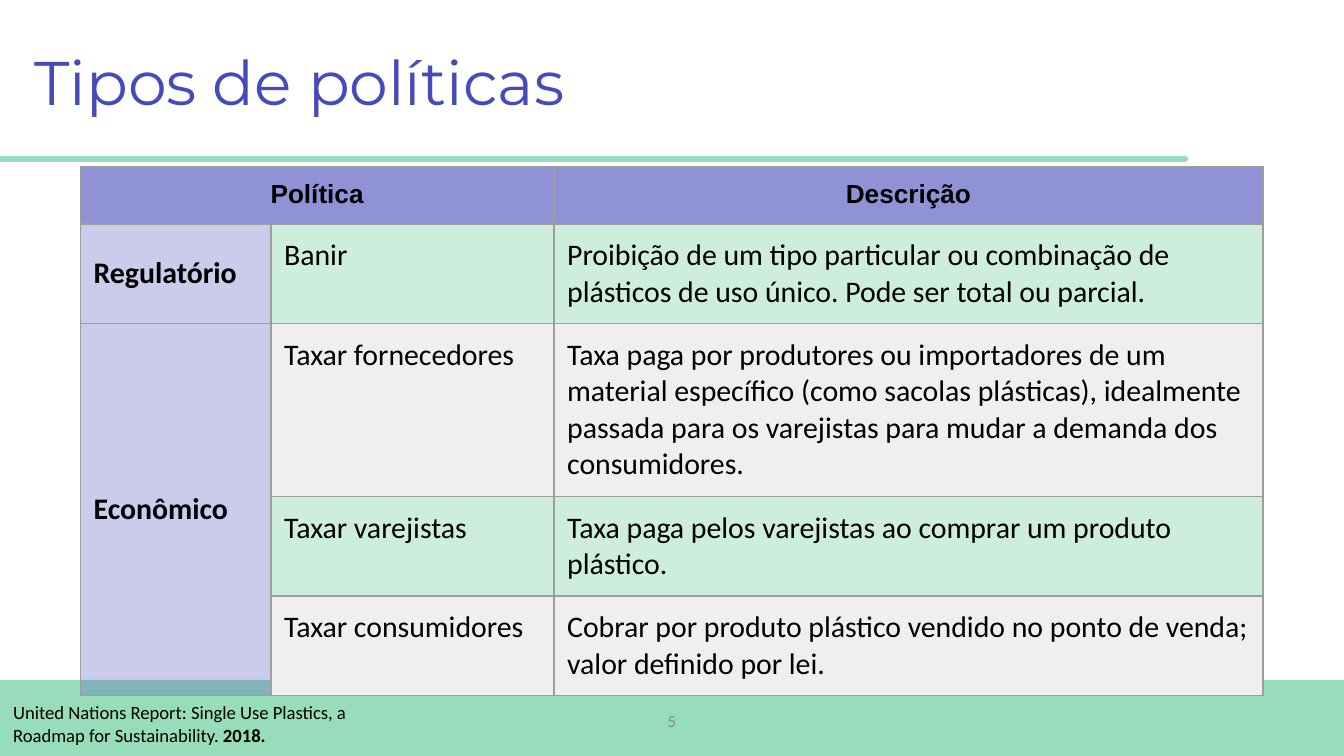
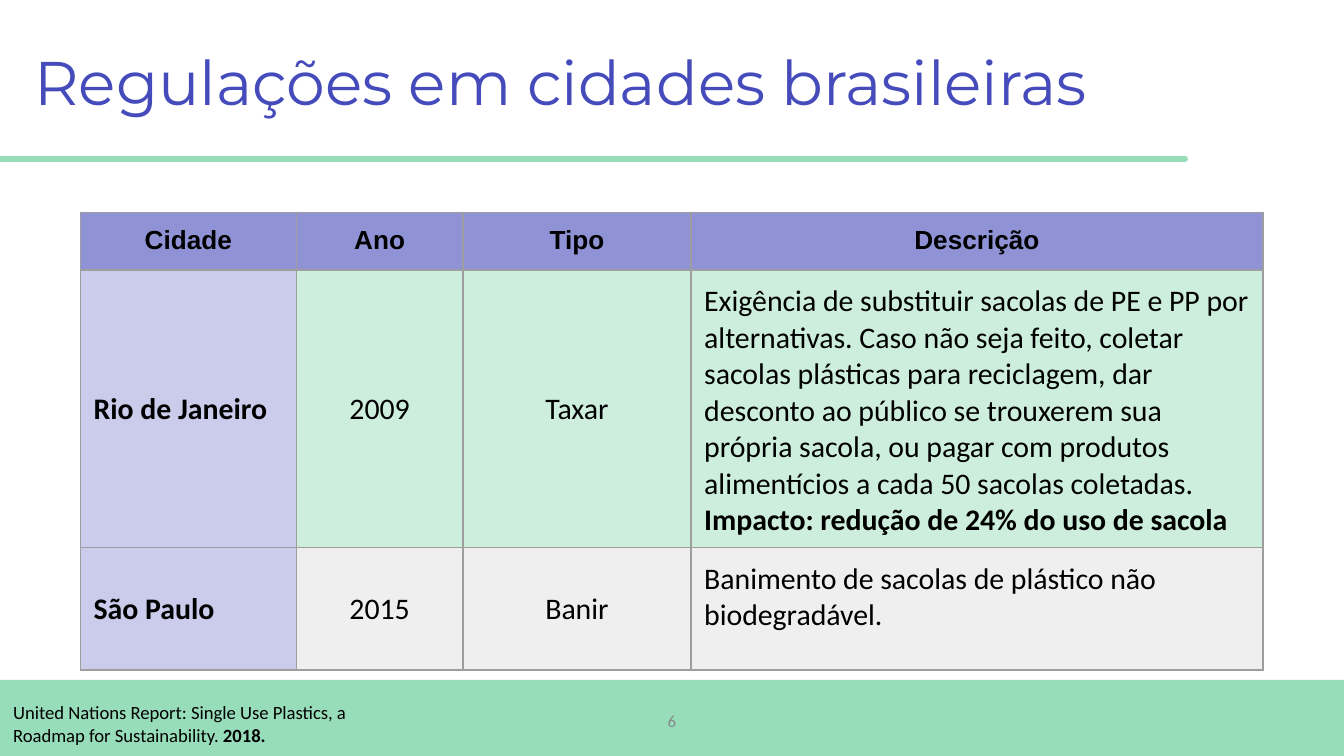
import collections

import lxml.etree
import pptx
import pptx.dml.color
import pptx.enum.shapes
import pptx.enum.text
import pptx.oxml.ns
import pptx.util

Cm, Pt = pptx.util.Cm, pptx.util.Pt
RGBColor = pptx.dml.color.RGBColor
ALIGN = pptx.enum.text.PP_ALIGN
ANCHOR = pptx.enum.text.MSO_ANCHOR
qn = pptx.oxml.ns.qn

Box = collections.namedtuple("Box", "left top width height")

# Colours and text formats
INDIGO = RGBColor(0x45, 0x4B, 0xBB)
MINT = RGBColor(0x98, 0xDD, 0xBA)
LIGHT_GREY = RGBColor(0xEF, 0xEF, 0xEF)
BORDER_GREY = RGBColor(0x9E, 0x9E, 0x9E)
NUMBER_GREY = RGBColor(0x88, 0x88, 0x88)
BLACK = RGBColor(0, 0, 0)

TITLE = dict(name="Montserrat", size=Pt(33), color=INDIGO)
HEADER = dict(name="Arial", size=Pt(14), color=BLACK)
BODY = dict(name="Calibri", size=Pt(16), color=BLACK)
SOURCE = dict(name="Calibri", size=Pt(10), color=BLACK)
NUMBER = dict(name="Calibri", size=Pt(9), color=NUMBER_GREY)

# Fill colour and opacity of the table parts
HEADER_FILL = (INDIGO, 60)
LABEL_FILL = (INDIGO, 28)
ROW_FILLS = [(MINT, 48), (LIGHT_GREY, 100)]

SLIDE_W, SLIDE_H = Cm(25.4), Cm(14.29)
FOOTER = Box(0, Cm(12.85), SLIDE_W, SLIDE_H - Cm(12.85))
RULE_Y, RULE_W = Cm(3), Cm(22.4)

SOURCE_RUNS = [("United Nations Report: Single Use Plastics, a Roadmap "
                "for Sustainability. ", False), ("2018.", True)]


def set_attrs(obj, **values):
    for name, value in values.items():
        if name == "color":
            obj.color.rgb = value
        else:
            setattr(obj, name, value)


def set_margins(obj, x, y):
    set_attrs(obj, margin_left=x, margin_right=x, margin_top=y, margin_bottom=y)


def write(tf, paragraphs, fmt, align=ALIGN.LEFT, spacing=1.0):
    """Fill a text frame with paragraphs, each a list of (text, bold) runs."""
    for i, runs in enumerate(paragraphs):
        p = tf.add_paragraph() if i else tf.paragraphs[0]
        set_attrs(p, alignment=align, line_spacing=spacing)
        for text, bold in runs:
            r = p.add_run()
            r.text = text
            set_attrs(r.font, bold=bold, **fmt)


def add_title(s, text, box):
    sp = s.shapes.title
    set_attrs(sp, **box._asdict())
    tf = sp.text_frame
    set_attrs(tf, word_wrap=True, vertical_anchor=ANCHOR.MIDDLE,
              auto_size=pptx.enum.text.MSO_AUTO_SIZE.NONE)
    set_margins(tf, Cm(0.19), Cm(0.1))
    write(tf, [[(text, False)]], TITLE, spacing=0.9)


def add_textbox(s, box, runs, fmt, margins, **layout):
    align = layout.pop("align", ALIGN.LEFT)
    tf = s.shapes.add_textbox(*box).text_frame
    set_attrs(tf, word_wrap=True, **layout)
    set_margins(tf, *margins)
    write(tf, [runs], fmt, align)


def add_footer(s, number, box):
    # Band
    sp = s.shapes.add_shape(pptx.enum.shapes.MSO_SHAPE.RECTANGLE, *box)
    sp.shadow.inherit = False
    sp.fill.solid()
    sp.fill.fore_color.rgb = MINT
    sp.line.fill.background()

    # Slide number, centred in the band
    width = Cm(5.72)
    add_textbox(s, Box(box.left + (box.width - width) // 2, box.top + Cm(0.4),
                       width, Cm(0.76)),
                [(str(number), False)], NUMBER, (Cm(0.19), Cm(0.1)),
                align=ALIGN.CENTER, vertical_anchor=ANCHOR.MIDDLE)

    # Source
    add_textbox(s, Box(box.left, box.top + Cm(0.15), Cm(7.65), Cm(1.37)),
                SOURCE_RUNS, SOURCE, (Cm(0.25), Cm(0.25)))


def add_rule(s):
    line = s.shapes.add_connector(pptx.enum.shapes.MSO_CONNECTOR.STRAIGHT,
                                  0, RULE_Y, RULE_W, RULE_Y)
    set_attrs(line.line, color=MINT, width=Pt(3))
    line.line._get_or_add_ln().set("cap", "rnd")
    lxml.etree.SubElement(line._element.spPr, qn("a:effectLst"))


def style_cell(cell, fill):
    color, opacity = fill
    cell.fill.solid()
    cell.fill.fore_color.rgb = color
    tcPr = cell._tc.get_or_add_tcPr()
    if opacity < 100:
        clr = tcPr.find(".//" + qn("a:srgbClr"))
        lxml.etree.SubElement(clr, qn("a:alpha"), val=str(opacity * 1000))
    # Borders come before the fill in the cell properties
    for i, side in enumerate(("lnL", "lnR", "lnT", "lnB")):
        ln = lxml.etree.Element(qn("a:" + side), w=str(Pt(0.75)))
        solid = lxml.etree.SubElement(ln, qn("a:solidFill"))
        lxml.etree.SubElement(solid, qn("a:srgbClr"), val=str(BORDER_GREY))
        tcPr.insert(i, ln)
    set_margins(cell, Cm(0.25), Cm(0.25))


def add_policy_table(s, box, rows, widths, heights, merges=(), centred=()):
    """First row is the header, first column the bold labels."""
    tbl = s.shapes.add_table(len(rows), len(widths), *box).table
    set_attrs(tbl, first_row=False, horz_banding=False)
    for col, width in zip(tbl.columns, widths):
        col.width = Cm(width)
    for row, height in zip(tbl.rows, heights):
        row.height = Cm(height)

    for i, row in enumerate(rows):
        for j, content in enumerate(row):
            cell = tbl.cell(i, j)
            header, label = i == 0, j == 0
            if header:
                fill = HEADER_FILL
            elif label:
                fill = LABEL_FILL
            else:
                fill = ROW_FILLS[(i - 1) % 2]
            style_cell(cell, fill)
            middle = not header and (label or j in centred)
            cell.vertical_anchor = ANCHOR.MIDDLE if middle else ANCHOR.TOP
            if not content:
                continue
            if isinstance(content, str):
                content = [[(content, header or label)]]
            write(cell.text_frame, content, HEADER if header else BODY,
                  ALIGN.CENTER if header or j in centred else ALIGN.LEFT)

    for first, last in merges:
        tbl.cell(*first).merge(tbl.cell(*last))


def add_table_slide(prs, number, title, top, **table):
    s = prs.slides.add_slide(prs.slide_layouts[5])
    add_title(s, title, Box(Cm(0.46), Cm(0.23), Cm(23.5), Cm(2.77)))
    add_footer(s, number, FOOTER)
    add_rule(s)
    box = Box(Cm(1.52), Cm(top), Cm(sum(table["widths"])), Cm(sum(table["heights"])))
    add_policy_table(s, box, **table)


POLICIES = [
    ["Política", "", "Descrição"],
    ["Regulatório", "Banir",
     "Proibição de um tipo particular ou combinação de plásticos de uso único. "
     "Pode ser total ou parcial."],
    ["Econômico", "Taxar fornecedores",
     "Taxa paga por produtores ou importadores de um material específico (como "
     "sacolas plásticas), idealmente passada para os varejistas para mudar a "
     "demanda dos consumidores."],
    ["", "Taxar varejistas",
     "Taxa paga pelos varejistas ao comprar um produto plástico."],
    ["", "Taxar consumidores",
     "Cobrar por produto plástico vendido no ponto de venda; valor definido por lei."],
]

CITIES = [
    ["Cidade", "Ano", "Tipo", "Descrição"],
    ["Rio de Janeiro", "2009", "Taxar",
     [[("Exigência de substituir sacolas de PE e PP por alternativas. Caso não "
        "seja feito, coletar sacolas plásticas para reciclagem, dar desconto ao "
        "público se trouxerem sua própria sacola, ou pagar com produtos "
        "alimentícios a cada 50 sacolas coletadas.", False)],
      [("Impacto: redução de 24% do uso de sacola", True)]]],
    ["São Paulo", "2015", "Banir",
     "Banimento de sacolas de plástico não biodegradável."],
]


def main():
    prs = pptx.Presentation()
    set_attrs(prs, slide_width=SLIDE_W, slide_height=SLIDE_H)
    add_table_slide(prs, 5, "Tipos de políticas", 3.14, rows=POLICIES,
                    widths=[3.6, 5.35, 13.4],
                    heights=[1.07, 1.88, 3.27, 1.88, 1.88],
                    merges=[((0, 0), (0, 1)), ((2, 0), (4, 0))])
    add_table_slide(prs, 6, "Regulações em cidades brasileiras", 4.01, rows=CITIES,
                    widths=[4.08, 3.15, 4.31, 10.81],
                    heights=[1.09, 5.25, 2.31], centred=(1, 2))
    prs.save("out.pptx")


if __name__ == "__main__":
    main()
